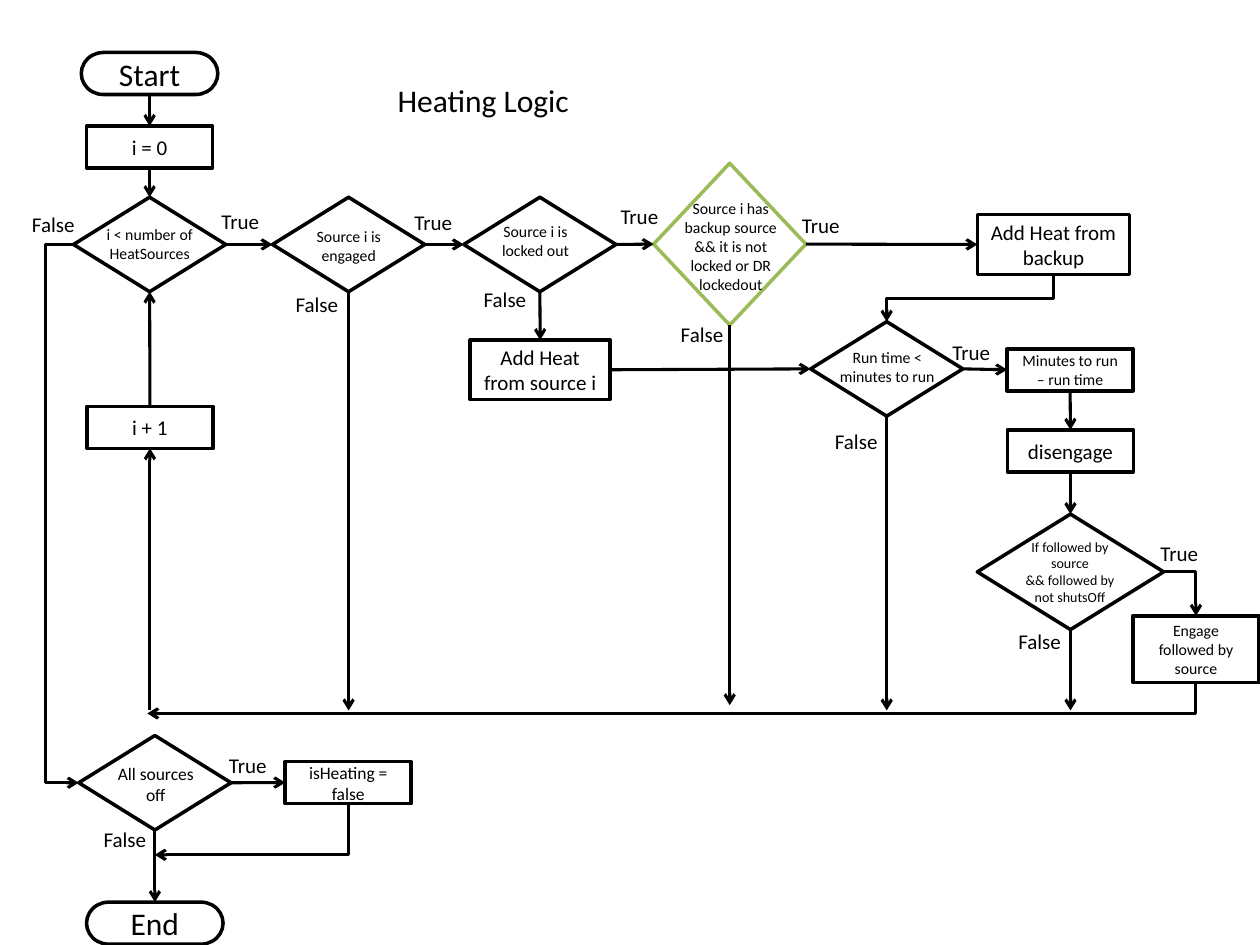
from lxml.etree import SubElement
from pptx import Presentation
from pptx.dml.color import RGBColor
from pptx.enum.shapes import MSO_CONNECTOR as Line, MSO_SHAPE as Preset
from pptx.enum.text import MSO_ANCHOR as Anchor, PP_ALIGN as Align
from pptx.oxml.ns import qn
from pptx.util import Pt

COLORS = {"ink": "000000", "paper": "FFFFFF", "accent": "9BBB59"}
FONT = "Calibri"
KINDS = {
    "terminal": Preset.FLOWCHART_TERMINATOR,
    "process": Preset.FLOWCHART_PROCESS,
    "decision": Preset.FLOWCHART_DECISION,
}
SIDES = {"top": 0, "left": 1, "bottom": 2, "right": 3}
OFFSETS = {"top": (0, -0.5), "left": (-0.5, 0), "bottom": (0, 0.5), "right": (0.5, 0)}

# name: kind, center x, center y, width, height, text, size
NODES = {
    "start": ("terminal", 85.5, 42, 78, 24, "Start", 18),
    "end": ("terminal", 88.5, 527.5, 78, 24, "End", 18),
    "init": ("process", 85.5, 84, 72, 24, "i = 0", 12),
    "next": ("process", 85.7, 244.2, 72, 24, "i + 1", 12),
    "add source": ("process", 308.7, 211.3, 80, 34, "Add Heat from source i", 12),
    "add backup": ("process", 602, 139.7, 87, 34.5, "Add Heat from backup", 12),
    "minutes": ("process", 611.5, 211.3, 72, 24, "Minutes to run – run time", 9),
    "disengage": ("process", 611.7, 257.6, 72, 24, "disengage", 12),
    "engage": ("process", 683.4, 371, 72, 38.2, "Engage\nfollowed by source", 9),
    "heating": ("process", 199, 447.2, 72, 24, "isHeating = false", 10),
    "loop": ("decision", 85.5, 139.7, 87, 54, "", 9),
    "engaged": ("decision", 199.2, 139.7, 87, 54, "", 9),
    "locked": ("decision", 308.5, 139.7, 87, 54, "", 9),
    "backup": ("decision", 417, 139.5, 87, 92.5, "", 9),
    "run time": ("decision", 506.7, 210.8, 87, 54, "", 9),
    "followed": ("decision", 611.7, 326.8, 106.5, 66, "", 8),
    "all off": ("decision", 88.5, 447.3, 87, 54, "", 10),
}
# left, top, width, height, text, size
QUESTIONS = [
    (42, 125, 87, 29, "i < number of HeatSources", 9),
    (166.3, 126, 66, 29, "Source i is engaged", 9),
    (273, 123.3, 66, 29, "Source i is locked out", 9),
    (382.3, 110, 70.5, 62, "Source i has backup source && it is not locked or DR lockedout", 9),
    (471, 195, 72, 29, "Run time < minutes to run", 9),
    (573, 304, 77, 46, "If followed by source\n&& followed by not shutsOff", 8),
    (55.5, 432.7, 67, 31.5, "All sources off", 10),
]
# left, top, width
ANSWERS = {
    "True": [(119.5, 115.6, 42), (229.7, 116, 37), (347.5, 112.8, 37), (451.2, 117.8, 37),
             (537.2, 190.2, 42), (656, 305.2, 42), (123.8, 426.3, 42)],
    "False": [(11.2, 117.2, 43), (161.8, 163.2, 43), (269.3, 160.3, 43), (381.9, 180, 43),
              (470, 241.6, 43), (574.8, 355.7, 43), (52.1, 468.7, 43)],
}
STRAIGHT = [
    ("start", "bottom", "init", "top"),
    ("init", "bottom", "loop", "top"),
    ("loop", "right", "engaged", "left"),
    ("engaged", "right", "locked", "left"),
    ("locked", "right", "backup", "left"),
    ("backup", "right", "add backup", "left"),
    ("locked", "bottom", "add source", "top"),
    ("add source", "right", "run time", "left"),
    ("run time", "right", "minutes", "left"),
    ("minutes", "bottom", "disengage", "top"),
    ("disengage", "bottom", "followed", "top"),
    ("next", "top", "loop", "bottom"),
    ("all off", "right", "heating", "left"),
    ("all off", "bottom", "end", "top"),
]
DROPS = {"engaged": 406, "backup": 403, "run time": 406, "followed": 406}

presentation = Presentation()
presentation.slide_width, presentation.slide_height = Pt(720), Pt(540)
slide = presentation.slides.add_slide(presentation.slide_layouts[5])


def color(name):
    return RGBColor.from_string(COLORS[name])


def write(shape, text, size, align=Align.CENTER, anchor=Anchor.TOP):
    frame = shape.text_frame
    frame.text = text
    frame.word_wrap = True
    frame.vertical_anchor = anchor
    for paragraph in frame.paragraphs:
        paragraph.alignment = align
        paragraph.font.name = FONT
        paragraph.font.size = Pt(size)
        paragraph.font.color.rgb = color("ink")


def add_text(left, top, width, height, text, size, align=Align.CENTER):
    box = slide.shapes.add_textbox(Pt(left), Pt(top), Pt(width), Pt(height))
    write(box, text, size, align)


def add_node(kind, x, y, width, height, text, size):
    shape = slide.shapes.add_shape(
        KINDS[kind], Pt(x - width / 2), Pt(y - height / 2), Pt(width), Pt(height))
    shape.shadow.inherit = False
    shape.fill.background()
    shape.line.color.rgb = color("ink")
    shape.line.width = Pt(2)
    if text:
        write(shape, text, size, anchor=Anchor.MIDDLE)
    return shape


def site(name, side):
    x, y, width, height = NODES[name][1:5]
    across, down = OFFSETS[side]
    return x + across * width, y + down * height


def add_line(start, end, arrow="tailEnd", preset=None, turned=False):
    (x1, y1), (x2, y2) = start, end
    if turned:
        x, y = (x1 + x2) / 2, (y1 + y2) / 2
        half_width, half_height = abs(y2 - y1) / 2, abs(x2 - x1) / 2
        x1, x2 = x - half_width, x + half_width
        y1, y2 = y - half_height, y + half_height
    kind = Line.ELBOW if preset else Line.STRAIGHT
    connector = slide.shapes.add_connector(kind, Pt(x1), Pt(y1), Pt(x2), Pt(y2))
    connector.line.color.rgb = color("ink")
    connector.line.width = Pt(1.75)
    properties = connector._element.spPr
    if preset:
        properties.find(qn("a:prstGeom")).set("prst", preset)
    if turned:
        properties.find(qn("a:xfrm")).set("rot", "5400000")
    if arrow:
        SubElement(properties.find(qn("a:ln")), qn("a:" + arrow), type="arrow")
    SubElement(properties, qn("a:effectLst"))
    return connector


title = slide.shapes.title
title.left, title.top, title.width, title.height = Pt(220), Pt(42.8), Pt(280), Pt(29)
write(title, "Heating Logic", 18, Align.LEFT)

shapes = {name: add_node(*node) for name, node in NODES.items()}
shapes["backup"].fill.solid()
shapes["backup"].fill.fore_color.rgb = color("paper")
shapes["backup"].line.color.rgb = color("accent")

for question in QUESTIONS:
    add_text(*question)
for answer, places in ANSWERS.items():
    for left, top, width in places:
        add_text(left, top, width, 21.8, answer, 12, Align.LEFT)

for source, leaving, target, entering in STRAIGHT:
    connector = add_line(site(source, leaving), site(target, entering))
    connector.begin_connect(shapes[source], SIDES[leaving])
    connector.end_connect(shapes[target], SIDES[entering])
for name, bottom in DROPS.items():
    add_line(site(name, "bottom"), (NODES[name][1], bottom))
add_line((85.7, 406), site("next", "bottom"))
add_line((26, 447.3), site("all off", "left"))

for start, end, arrow in [
    (site("loop", "left"), (26, 447.3), None),
    (site("followed", "right"), site("engage", "top"), "tailEnd"),
    ((84.2, 407.7), site("engage", "bottom"), "headEnd"),
    ((88.5, 488.5), site("heating", "bottom"), "headEnd"),
]:
    add_line(start, end, arrow, "bentConnector2")
add_line(site("add backup", "bottom"), site("run time", "top"),
         preset="bentConnector3", turned=True)

presentation.save("out.pptx")
